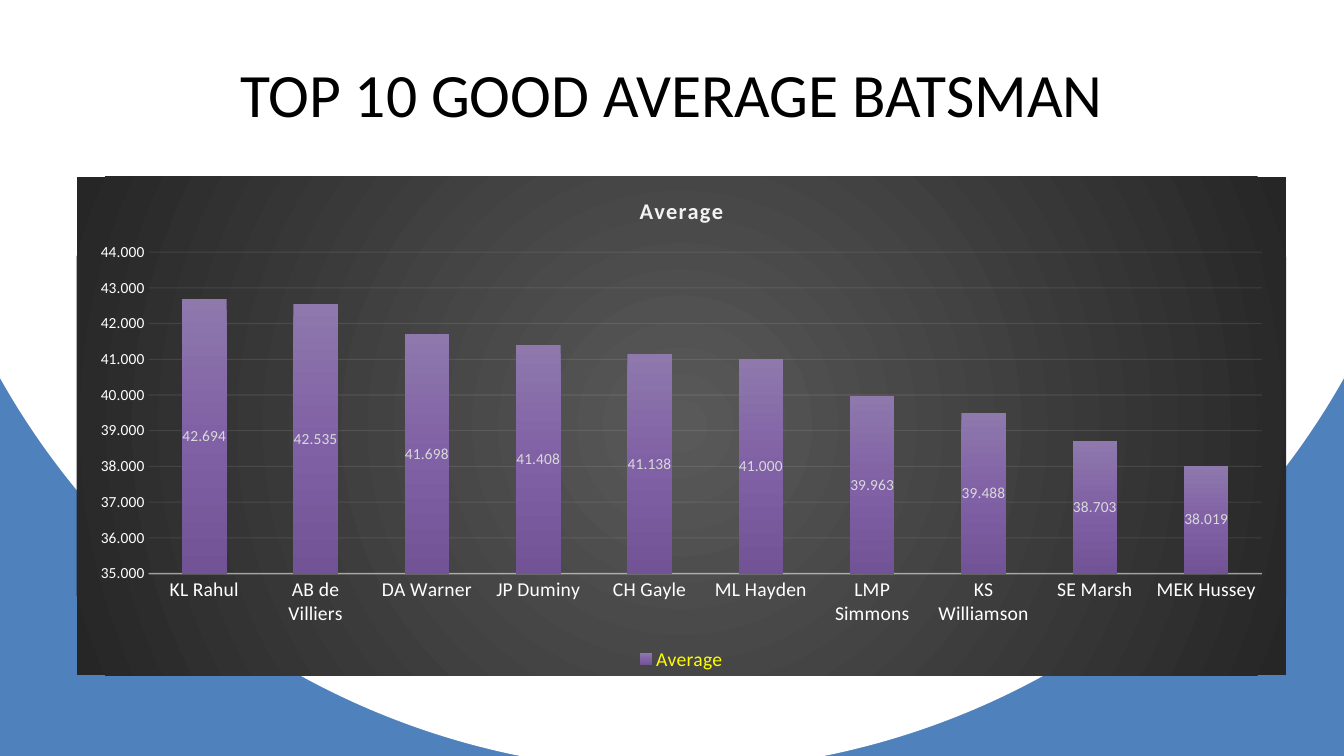
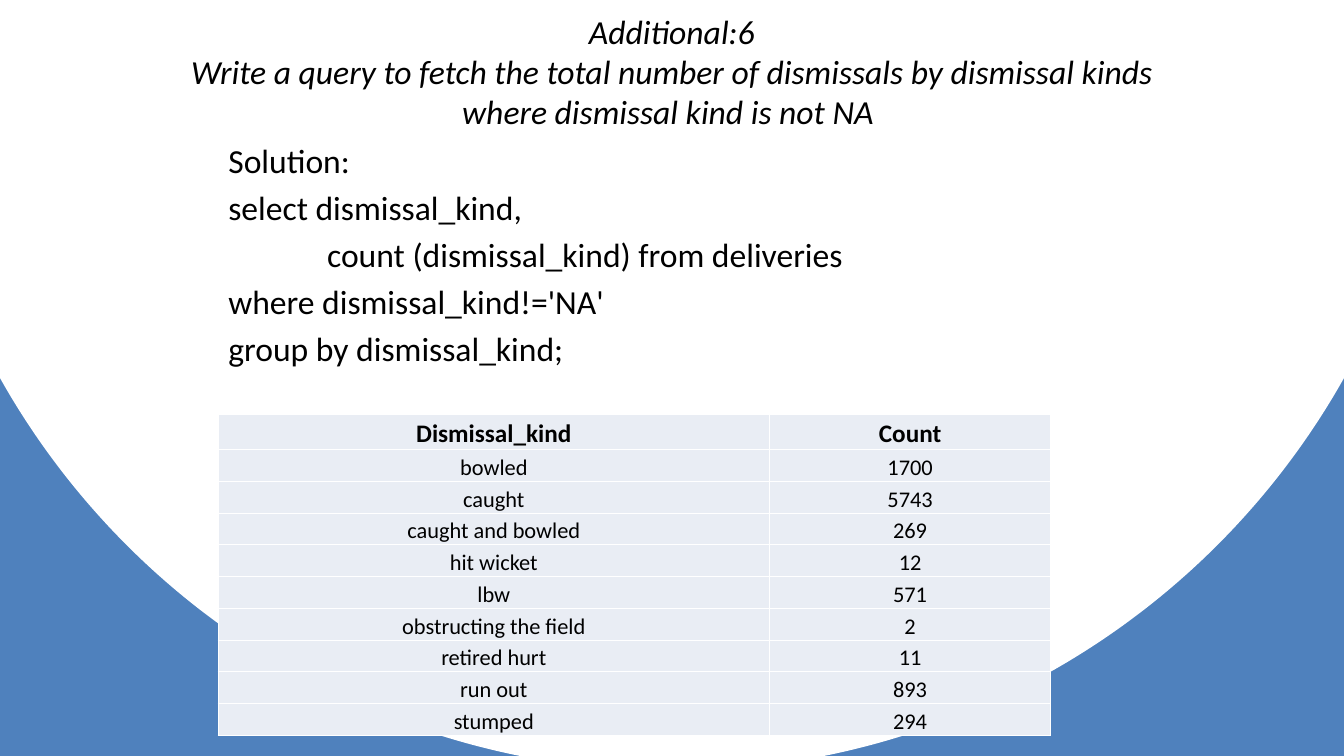
import pptx
import pptx.chart.data
import pptx.dml.color
import pptx.enum.chart
import pptx.enum.text
import pptx.oxml
import pptx.oxml.ns
import pptx.util

Cm, Pt = pptx.util.Cm, pptx.util.Pt
RGBColor = pptx.dml.color.RGBColor
qn = pptx.oxml.ns.qn

# Shared style
FONT = "Calibri"
BLACK = RGBColor(0x00, 0x00, 0x00)
WHITE = RGBColor(0xFF, 0xFF, 0xFF)
BLUE = RGBColor(0x4F, 0x81, 0xBD)
CELL_FILL = RGBColor(0xE9, 0xED, 0xF4)
PALE = RGBColor(0xF2, 0xF2, 0xF2)
LABEL_GREY = RGBColor(0xD9, 0xD9, 0xD9)
YELLOW = RGBColor(0xFF, 0xFF, 0x00)
PANEL_STOPS = [(0, RGBColor(0x59, 0x59, 0x59)), (100, RGBColor(0x26, 0x26, 0x26))]
BAR_STOPS = [(0, RGBColor(0x8E, 0x78, 0xAC)), (50, RGBColor(0x80, 0x61, 0xA5)),
             (100, RGBColor(0x71, 0x53, 0x96))]
BACKDROP_STOPS = [(100, WHITE), (100, BLUE)]
DOWNWARD = '<a:lin ang="5400000" scaled="0"/>'

# Content
CHART_TITLE = "TOP 10 GOOD AVERAGE BATSMAN"
AVERAGES = [
    ("KL Rahul", 42.694), ("AB de Villiers", 42.535), ("DA Warner", 41.698),
    ("JP Duminy", 41.408), ("CH Gayle", 41.138), ("ML Hayden", 41),
    ("LMP Simmons", 39.963), ("KS Williamson", 39.488), ("SE Marsh", 38.703),
    ("MEK Hussey", 38.019),
]
QUERY_TITLE = ("Additional:6\vWrite a query to fetch the total number of dismissals "
               "by dismissal kinds where dismissal kind is not NA ")
QUERY_LINES = [  # text, indent in cm
    ("Solution:", 0),
    ("select dismissal_kind,", 0),
    ("count (dismissal_kind) from deliveries", 2.49),
    ("where dismissal_kind!='NA'", 0),
    ("group by dismissal_kind;", 0),
]
DISMISSALS = [
    ("Dismissal_kind", "Count"), ("bowled", 1700), ("caught", 5743),
    ("caught and bowled", 269), ("hit wicket", 12), ("lbw", 571),
    ("obstructing the field", 2), ("retired hurt", 11), ("run out", 893),
    ("stumped", 294),
]


def circle(top, bottom):
    return (f'<a:path path="circle"><a:fillToRect l="50000" t="{top * 1000}" '
            f'r="50000" b="{bottom * 1000}"/></a:path>')


def gradient(stops, direction):
    marks = "".join(f'<a:gs pos="{place * 1000}"><a:srgbClr val="{color}"/></a:gs>'
                    for place, color in stops)
    return pptx.oxml.parse_xml(
        f'<a:gradFill {pptx.oxml.ns.nsdecls("a")} rotWithShape="1">'
        f'<a:gsLst>{marks}</a:gsLst>{direction}</a:gradFill>')


def replace_solid(properties, new_fill):
    properties.replace(properties.find(qn("a:solidFill")), new_fill)


def place(shape, left, top, width, height):
    shape.left, shape.top = Cm(left), Cm(top)
    shape.width, shape.height = Cm(width), Cm(height)


def style(font, size, color, **flags):
    font.name, font.size = FONT, Pt(size)
    font.color.rgb = color
    for name, value in flags.items():
        setattr(font, name, value)


def style_line(line, width, opacity, owner, where):
    line.width = Pt(width)
    line.color.rgb = PALE
    for color in owner.xpath(where + "//a:srgbClr"):
        color.append(pptx.oxml.parse_xml(
            f'<a:alpha {pptx.oxml.ns.nsdecls("a")} val="{opacity * 1000}"/>'))


def add_page(deck, layout, title, box, size, **flags):
    page = deck.slides.add_slide(deck.slide_layouts[layout])
    place(page.shapes.title, *box)
    frame = page.shapes.title.text_frame
    frame.vertical_anchor = pptx.enum.text.MSO_ANCHOR.MIDDLE
    para = frame.paragraphs[0]
    para.text = title
    para.alignment = pptx.enum.text.PP_ALIGN.CENTER
    style(para.font, size, BLACK, **flags)
    return page


def add_average_chart(page):
    data = pptx.chart.data.CategoryChartData(number_format="0.000")
    data.categories = [name for name, _ in AVERAGES]
    data.add_series("Average", [value for _, value in AVERAGES])
    chart = page.shapes.add_chart(
        pptx.enum.chart.XL_CHART_TYPE.COLUMN_STACKED,
        Cm(1.93), Cm(4.45), Cm(30.48), Cm(12.57), data).chart
    style(chart.font, 10, BLACK)

    # Dark panel behind the chart
    panel = pptx.oxml.parse_xml(f'<c:spPr {pptx.oxml.ns.nsdecls("c", "a")}/>')
    panel.append(gradient(PANEL_STOPS, circle(50, 50)))
    chart.element.find(qn("c:chart")).addnext(panel)

    # Title and legend
    para = chart.chart_title.text_frame.paragraphs[0]
    span = para.add_run()
    span.text = "Average"
    style(span.font, 16, PALE, bold=True)
    span._r.get_or_add_rPr().set("spc", "100")
    chart.has_legend = True
    chart.legend.position = pptx.enum.chart.XL_LEGEND_POSITION.BOTTOM
    chart.legend.include_in_layout = False
    style(chart.legend.font, 14, YELLOW)

    # Axes
    names, values = chart.category_axis, chart.value_axis
    for axis, size in ((names, 14), (values, 11)):
        axis.major_tick_mark = pptx.enum.chart.XL_TICK_MARK.NONE
        style(axis.tick_labels.font, size, WHITE)
    style_line(names.format.line, 1, 54, names._element, "c:spPr")
    style_line(values.major_gridlines.format.line, 0.75, 10,
               values._element, "c:majorGridlines")
    values.format.line.fill.background()
    values.minimum_scale, values.maximum_scale, values.major_unit = 35, 44, 1
    values.tick_labels.number_format = "0.000"
    values.tick_labels.number_format_is_linked = False

    # Bars
    plot = chart.plots[0]
    plot.gap_width, plot.overlap, plot.vary_by_categories = 150, 100, False
    bars = plot.series[0]
    bars.format.fill.solid()
    bars.format.fill.fore_color.rgb = BAR_STOPS[1][1]
    replace_solid(bars._element.find(qn("c:spPr")), gradient(BAR_STOPS, DOWNWARD))
    labels = bars.data_labels
    labels.show_value = True
    labels.position = pptx.enum.chart.XL_LABEL_POSITION.CENTER
    labels.number_format, labels.number_format_is_linked = "0.000", False
    style(labels.font, 11, LABEL_GREY)


def add_query(page):
    body = page.placeholders[1]
    place(body, 5.5, 3.39, 22.86, 15.66)
    frame = body.text_frame
    for index, (text, indent) in enumerate(QUERY_LINES):
        para = frame.add_paragraph() if index else frame.paragraphs[0]
        para.text = text
        style(para.font, 24, BLACK)
        properties = para._p.get_or_add_pPr()
        properties.set("marL", str(Cm(indent)))
        properties.set("indent", "0")
        properties.insert_element_before(
            pptx.oxml.parse_xml(f'<a:buNone {pptx.oxml.ns.nsdecls("a")}/>'),
            "a:tabLst", "a:defRPr", "a:extLst")


def add_borders(cell):
    properties = cell._tc.get_or_add_tcPr()
    for index, side in enumerate("LRTB"):
        properties.insert(index, pptx.oxml.parse_xml(
            f'<a:ln{side} {pptx.oxml.ns.nsdecls("a")} w="{Pt(1)}"><a:solidFill>'
            f'<a:srgbClr val="{WHITE}"/></a:solidFill></a:ln{side}>'))


def add_dismissal_table(page):
    table = page.shapes.add_table(len(DISMISSALS), 2, Cm(5.5), Cm(10.44),
                                  Cm(20.98), Cm(8.08)).table
    for column, width in zip(table.columns, (13.89, 7.09)):
        column.width = Cm(width)
    for index, values in enumerate(DISMISSALS):
        heading = index == 0
        table.rows[index].height = Cm(0.89 if heading else 0.8)
        for cell, value in zip(table.rows[index].cells, values):
            cell.fill.solid()
            cell.fill.fore_color.rgb = CELL_FILL
            cell.margin_left = cell.margin_right = cell.margin_top = Cm(0.03)
            cell.margin_bottom = 0
            cell.vertical_anchor = pptx.enum.text.MSO_ANCHOR.BOTTOM
            para = cell.text_frame.paragraphs[0]
            para.text = str(value)
            para.alignment = pptx.enum.text.PP_ALIGN.CENTER
            style(para.font, 18 if heading else 16, BLACK, bold=heading)
            add_borders(cell)


def main():
    deck = pptx.Presentation()
    deck.slide_width, deck.slide_height = Cm(33.87), Cm(19.05)

    # White disc on blue, shared by every slide
    master = deck.slide_master
    master.background.fill.solid()
    master.background.fill.fore_color.rgb = WHITE
    replace_solid(master.element.find(".//" + qn("p:bgPr")),
                  gradient(BACKDROP_STOPS, circle(-80, 180)))

    page = add_page(deck, 5, CHART_TITLE, (1.69, 0.76, 30.48, 3.18), 44)
    add_average_chart(page)

    page = add_page(deck, 1, QUERY_TITLE, (4.23, 0.2, 25.4, 3.18), 24, italic=True)
    add_query(page)
    add_dismissal_table(page)

    deck.save("out.pptx")


if __name__ == "__main__":
    main()
